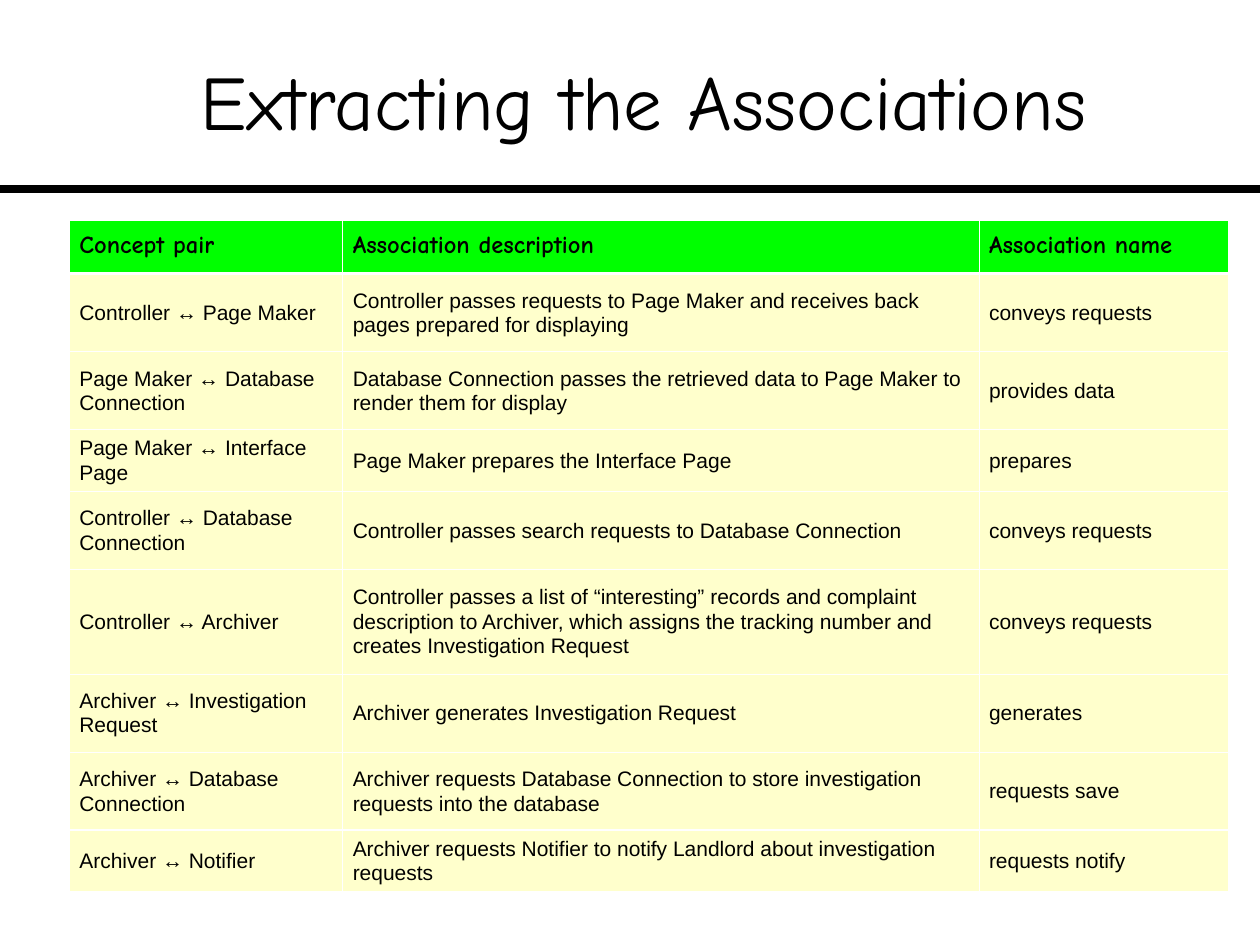
from lxml.etree import SubElement
from pptx import Presentation
from pptx.dml.color import RGBColor
from pptx.enum.shapes import MSO_CONNECTOR
from pptx.enum.text import MSO_ANCHOR, PP_ALIGN
from pptx.oxml import parse_xml
from pptx.oxml.ns import nsdecls, qn
from pptx.util import Inches, Pt

WIDTH, HEIGHT = 10, 7.5
BLACK, WHITE, GREEN, CREAM = "000000", "FFFFFF", "00FF00", "FFFFCC"
DISPLAY_FONT, BODY_FONT = "Comic Neue", "Arial"
THIN, THICK = 0.45, 1.47
COLUMN_WIDTHS = [2.17, 5.05, 1.98]
ROW_HEIGHTS = [0.42, 0.62, 0.62, 0.41, 0.62, 0.83, 0.62, 0.62, 0.42]
THICK_RULES = {1, 8}
LONGEST_ONE_LINE_PAIR = 23

ASSOCIATIONS = [
    ("Concept pair", "Association description", "Association name"),
    ("Controller ↔ Page Maker",
     "Controller passes requests to Page Maker and receives back pages prepared for displaying",
     "conveys requests"),
    ("Page Maker ↔ Database Connection",
     "Database Connection passes the retrieved data to Page Maker to render them for display",
     "provides data"),
    ("Page Maker ↔ Interface Page", "Page Maker prepares the Interface Page", "prepares"),
    ("Controller ↔ Database Connection",
     "Controller passes search requests to Database Connection",
     "conveys requests"),
    ("Controller ↔ Archiver",
     "Controller passes a list of “interesting” records and complaint description to Archiver, "
     "which assigns the tracking number and creates Investigation Request",
     "conveys requests"),
    ("Archiver ↔ Investigation Request", "Archiver generates Investigation Request", "generates"),
    ("Archiver ↔ Database Connection",
     "Archiver requests Database Connection to store investigation requests into the database",
     "requests save"),
    ("Archiver ↔ Notifier",
     "Archiver requests Notifier to notify Landlord about investigation requests",
     "requests notify"),
]


def color(hex_code):
    """Turn a hex string into a colour."""
    return RGBColor.from_string(hex_code)


def add_words(paragraph, words, size, font, bold=False):
    """Add one formatted run to a paragraph."""
    run = paragraph.add_run()
    run.text = words
    run.font.size, run.font.name, run.font.bold = Pt(size), font, bold
    run.font.color.rgb = color(BLACK)


def set_insets(holder, left, top, right, bottom):
    """Set the inner margins of a text frame or cell in inches."""
    holder.margin_left, holder.margin_top = Inches(left), Inches(top)
    holder.margin_right, holder.margin_bottom = Inches(right), Inches(bottom)


def add_heading(slide, words):
    """Fill and place the title placeholder."""
    heading = slide.shapes.title
    heading.left, heading.top = Inches(0.42), Inches(0.17)
    heading.width, heading.height = Inches(9.38), Inches(1.25)
    frame = heading.text_frame
    set_insets(frame, 0, 0.05, 0, 0.05)
    frame.vertical_anchor = MSO_ANCHOR.MIDDLE
    frame.paragraphs[0].alignment = PP_ALIGN.CENTER
    add_words(frame.paragraphs[0], words, 44, DISPLAY_FONT)


def add_divider(slide):
    """Draw the full-width rule one fifth of the way down."""
    level = Inches(HEIGHT / 5)
    divider = slide.shapes.add_connector(
        MSO_CONNECTOR.STRAIGHT, 0, level, Inches(WIDTH), level)
    divider.line.color.rgb = color(BLACK)
    divider.line.width = Pt(4.5)
    SubElement(divider._element.spPr, qn("a:effectLst"))


def set_borders(cell, top, bottom):
    """Give a cell white borders, with the top and bottom widths in points."""
    sides = {"lnL": THIN, "lnR": THIN, "lnT": top, "lnB": bottom}
    properties = cell._tc.get_or_add_tcPr()
    for position, (side, width) in enumerate(sides.items()):
        properties.insert(position, parse_xml(
            f'<a:{side} {nsdecls("a")} w="{Pt(width)}"><a:solidFill>'
            f'<a:srgbClr val="{WHITE}"/></a:solidFill></a:{side}>'))


def rule_width(boundary):
    """Return the width of the rule above the given row."""
    return THICK if boundary in THICK_RULES else THIN


def fill_cell(cell, words, row, column):
    """Write and format one cell of the association table."""
    is_header = row == 0
    wraps = not is_header and column == 0 and len(words) > LONGEST_ONE_LINE_PAIR
    set_insets(cell, 0.08, 0.05, 0.02 if wraps else 0.08, 0.05)
    cell.vertical_anchor = MSO_ANCHOR.MIDDLE
    cell.fill.solid()
    cell.fill.fore_color.rgb = color(GREEN if is_header else CREAM)
    set_borders(cell, rule_width(row), rule_width(row + 1))
    paragraph = cell.text_frame.paragraphs[0]
    paragraph.line_spacing = Pt(14)
    size, font = (14, DISPLAY_FONT) if is_header else (12, BODY_FONT)
    add_words(paragraph, words, size, font, is_header)


def add_association_table(slide):
    """Build the table of concept pairs and their associations."""
    table = slide.shapes.add_table(
        len(ROW_HEIGHTS), len(COLUMN_WIDTHS), Inches(0.55), Inches(1.75),
        Inches(sum(COLUMN_WIDTHS)), Inches(sum(ROW_HEIGHTS))).table
    for column, width in zip(table.columns, COLUMN_WIDTHS):
        column.width = Inches(width)
    for row, height in zip(table.rows, ROW_HEIGHTS):
        row.height = Inches(height)
    for row, association in enumerate(ASSOCIATIONS):
        for column, words in enumerate(association):
            fill_cell(table.cell(row, column), words, row, column)


def main():
    """Build and save the slide."""
    deck = Presentation()
    deck.slide_width, deck.slide_height = Inches(WIDTH), Inches(HEIGHT)
    slide = deck.slides.add_slide(deck.slide_layouts.get_by_name("Title Only"))
    add_divider(slide)
    add_heading(slide, "Extracting the Associations")
    add_association_table(slide)
    deck.save("out.pptx")


if __name__ == "__main__":
    main()
